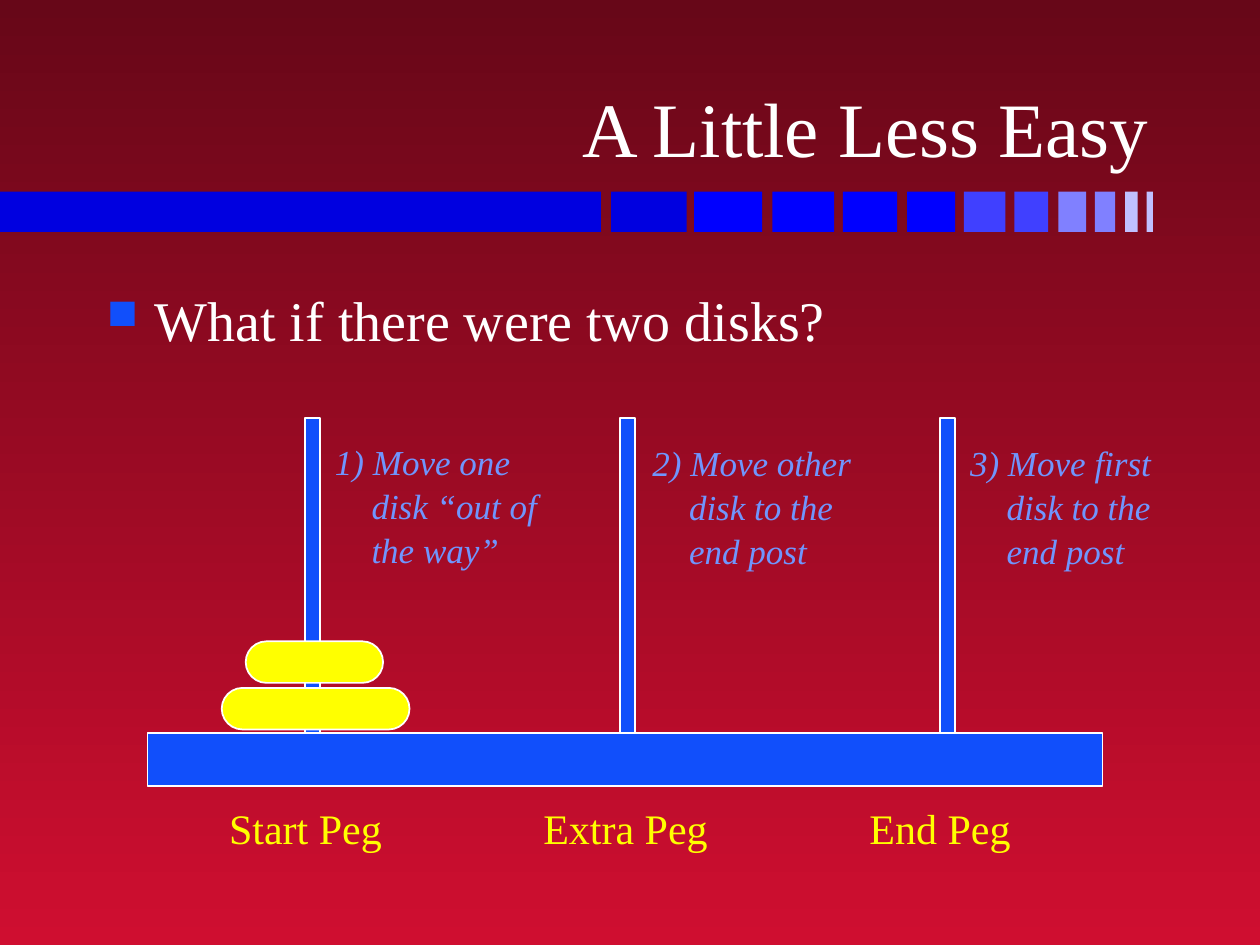
"""Build the two-disk Tower of Hanoi slide."""
from pptx import Presentation
from pptx.dml.color import RGBColor
from pptx.enum.shapes import MSO_SHAPE as Shape
from pptx.enum.text import MSO_ANCHOR as Anchor, MSO_AUTO_SIZE as AutoSize, PP_ALIGN as Align
from pptx.oxml.ns import qn
from pptx.util import Inches, Pt
from lxml.etree import SubElement

TITLE = "A Little Less Easy"
QUESTION = "What if there were two disks?"
WHITE, BLUE, YELLOW, PALE_BLUE = "FFFFFF", "114FFB", "FFFF00", "7095FD"
BACKGROUND = ["670718", "CF0E30"]

BAR_TOP, BAR_HEIGHT = 1.52, 0.32
BAR = [
    ("0000E0", [(0, 4.77), (4.85, 0.6)]),
    ("0000FF", [(5.51, 0.54), (6.13, 0.49), (6.69, 0.43), (7.2, 0.38)]),
    ("4040FF", [(7.65, 0.33), (8.05, 0.27)]),
    ("8080FF", [(8.4, 0.22), (8.69, 0.16)]),
    ("C0C0FF", [(8.93, 0.1), (9.1, 0.05)]),
]

BASE = (1.17, 5.82, 7.58, 0.42)
PEG_TOP, PEG_WIDTH, PEG_HEIGHT = 3.32, 0.12, 2.5
LABEL_TOP, LABEL_HEIGHT = 6.32, 0.5
STEP_WIDTH, STEP_HEIGHT = 1.81, 1.11
PEGS = [
    {"left": 2.42, "label": ("Start Peg", 1.72, 1.41),
     "step": ("1) Move one disk “out of the way”", 2.56, 3.43)},
    {"left": 4.92, "label": ("Extra Peg", 4.21, 1.51),
     "step": ("2) Move other disk to the end post", 5.08, 3.44)},
    {"left": 7.46, "label": ("End Peg", 6.8, 1.32),
     "step": ("3) Move first disk to the end post", 7.6, 3.44)},
]
DISKS = [(1.95, 5.09, 1.09, 0.33), (1.76, 5.46, 1.49, 0.33)]


def color(value):
    return RGBColor.from_string(value)


def set_all(target, values):
    for name, value in values.items():
        setattr(target, name, value)


def add_block(slide, kind, box, fill, outline=None):
    shape = slide.shapes.add_shape(kind, *map(Inches, box))
    shape.shadow.inherit = False
    shape.fill.solid()
    shape.fill.fore_color.rgb = color(fill)
    if outline:
        shape.line.color.rgb = color(outline)
        shape.line.width = Pt(1)
    else:
        shape.line.fill.background()
    return shape


def add_text(slide, text, box, size, fill, frame=None, layout=None, hang=0, bullet=None, italic=False):
    text_frame = slide.shapes.add_textbox(*map(Inches, box)).text_frame
    set_all(text_frame, {"word_wrap": True, **(frame or {})})
    paragraph = text_frame.paragraphs[0]
    paragraph.text = text
    set_all(paragraph, layout or {})
    properties = paragraph._p.get_or_add_pPr()
    if hang:
        properties.set("marL", str(Inches(hang)))
        properties.set("indent", str(-Inches(hang)))
    if bullet:
        bullet_color = SubElement(properties, qn("a:buClr"))
        SubElement(bullet_color, qn("a:srgbClr"), val=BLUE)
        SubElement(properties, qn("a:buSzPct"), val="75000")
        SubElement(properties, qn("a:buChar"), char=bullet)
    font = paragraph.runs[0].font
    set_all(font, {"name": "Times New Roman", "size": Pt(size), "italic": italic})
    font.color.rgb = color(fill)


def main():
    presentation = Presentation()
    set_all(presentation, {"slide_width": Inches(10), "slide_height": Inches(7.5)})
    slide = presentation.slides.add_slide(presentation.slide_layouts[6])

    background = slide.background.fill
    background.gradient()
    background.gradient_angle = 270
    for stop, value, position in zip(background.gradient_stops, BACKGROUND, (0, 1)):
        stop.color.rgb = color(value)
        stop.position = position

    for fill, segments in BAR:
        for left, width in segments:
            add_block(slide, Shape.RECTANGLE, (left, BAR_TOP, width, BAR_HEIGHT), fill)

    add_text(slide, TITLE, (0.74, 0.19, 8.48, 1.23), 44, WHITE,
             {"vertical_anchor": Anchor.BOTTOM}, {"alignment": Align.RIGHT})
    add_text(slide, QUESTION, (0.75, 2.17, 8.5, 4.5), 32, WHITE,
             {"margin_top": Inches(0.1)}, hang=0.38, bullet="■")

    add_block(slide, Shape.RECTANGLE, BASE, BLUE, WHITE)
    for peg in PEGS:
        add_block(slide, Shape.RECTANGLE, (peg["left"], PEG_TOP, PEG_WIDTH, PEG_HEIGHT), BLUE, WHITE)
        label, left, width = peg["label"]
        add_text(slide, label, (left, LABEL_TOP, width, LABEL_HEIGHT), 24, YELLOW,
                 {"word_wrap": False, "auto_size": AutoSize.SHAPE_TO_FIT_TEXT},
                 {"alignment": Align.CENTER})
        step, left, top = peg["step"]
        add_text(slide, step, (left, top, STEP_WIDTH, STEP_HEIGHT), 20, PALE_BLUE,
                 {"auto_size": AutoSize.SHAPE_TO_FIT_TEXT}, {"line_spacing": 1.05},
                 hang=0.29, italic=True)
    for box in DISKS:
        add_block(slide, Shape.ROUNDED_RECTANGLE, box, YELLOW, WHITE).adjustments[0] = 0.5

    presentation.save("out.pptx")


if __name__ == "__main__":
    main()
